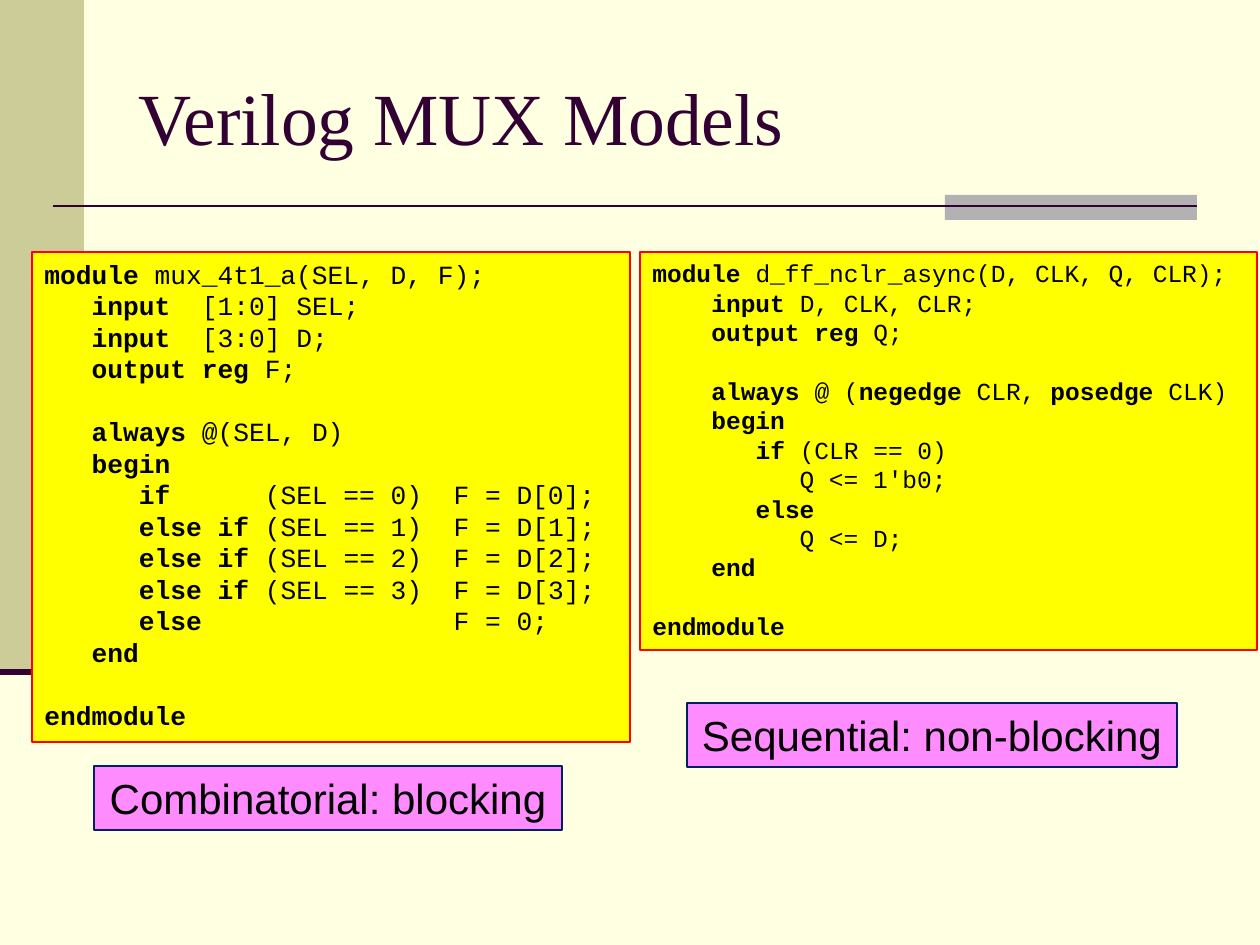
from lxml import etree
from pptx import Presentation
from pptx import util as u
from pptx.dml.color import RGBColor
from pptx.enum import shapes, text
from pptx.oxml.ns import qn

PX = 914400 / 126

# Keywords between asterisks are bold.
MUX = """\
*module* mux_4t1_a(SEL, D, F);
   *input*  [1:0] SEL;
   *input*  [3:0] D;
   *output reg* F;

   *always* @(SEL, D)
   *begin*
      *if*      (SEL == 0)  F = D[0];
      *else if* (SEL == 1)  F = D[1];
      *else if* (SEL == 2)  F = D[2];
      *else if* (SEL == 3)  F = D[3];
      *else*                F = 0;
   *end*

*endmodule*"""

FLOP = """\
*module* d_ff_nclr_async(D, CLK, Q, CLR);
    *input* D, CLK, CLR;
    *output reg* Q;

    *always* @ (*negedge* CLR, *posedge* CLK)
    *begin*
       *if* (CLR == 0)
          Q <= 1'b0;
       *else*
          Q <= D;
    *end*

*endmodule*"""


def px(*nums):
    return [u.Emu(round(n * PX)) for n in nums]


def color(code):
    return RGBColor.from_string(code)


def style(par, face, size, ink="000000"):
    par.font.name = face
    par.font.size = u.Pt(size)
    par.font.color.rgb = color(ink)


def rect(slide, box, fill, edge=None):
    shape = slide.shapes.add_shape(shapes.MSO_SHAPE.RECTANGLE, *px(*box))
    shape.shadow.inherit = False
    shape.fill.solid()
    shape.fill.fore_color.rgb = color(fill)
    if edge:
        shape.line.color.rgb = color(edge)
        shape.line.width = u.Pt(0.75)
    else:
        shape.line.fill.background()
    return shape


def rule(slide, left, right, y, width):
    line = slide.shapes.add_connector(
        shapes.MSO_CONNECTOR.STRAIGHT, *px(left, y, right, y))
    line.line.color.rgb = color("330033")
    line.line.width = u.Pt(width)
    etree.SubElement(line._element.spPr, qn("a:effectLst"))


def frame(shape):
    body = shape.text_frame
    body.word_wrap = False
    body.auto_size = text.MSO_AUTO_SIZE.SHAPE_TO_FIT_TEXT
    body.vertical_anchor = text.MSO_ANCHOR.TOP
    return body


def decor(slide, box):
    """Draw the side band, the title rule and its accent."""
    x, y, wide, _ = box
    rect(slide, (x, y, 84, 672), "CCCC99")
    rect(slide, (x + wide - 315, y + 195, 252, 25), "B2B2B2")
    rule(slide, x + 53, x + wide - 63, y + 206, 1.5)
    rule(slide, x, x + 84, y + 672, 3.5)


def head(slide, box, words):
    title = slide.shapes.title
    title.left, title.top, title.width, title.height = px(*box)
    body = title.text_frame
    body.text = words
    body.vertical_anchor = text.MSO_ANCHOR.MIDDLE
    par = body.paragraphs[0]
    par.alignment = text.PP_ALIGN.LEFT
    style(par, "Times New Roman", 42, "330033")


def code(slide, box, source, size):
    body = frame(rect(slide, box, "FFFF00", "FF0000"))
    for num, line in enumerate(source.split("\n")):
        par = body.add_paragraph() if num else body.paragraphs[0]
        par.alignment = text.PP_ALIGN.LEFT
        style(par, "Courier New", size)
        for part, words in enumerate((line or " ").split("*")):
            if words:
                run = par.add_run()
                run.text = words
                run.font.bold = part % 2 == 1


def label(slide, box, words):
    body = frame(rect(slide, box, "FF8CFF", "002060"))
    body.text = words
    par = body.paragraphs[0]
    par.alignment = text.PP_ALIGN.CENTER
    style(par, "Arial", 24)


def main():
    deck = Presentation()
    deck.slide_width, deck.slide_height = px(1260, 945)
    slide = deck.slides.add_slide(deck.slide_layouts[5])
    slide.background.fill.solid()
    slide.background.fill.fore_color.rgb = color("FFFFE1")

    decor(slide, (0, 0, 1260, 945))
    head(slide, (126, 38, 1071, 157), "Verilog MUX Models")
    code(slide, (32, 252, 598, 490), MUX, 15)
    code(slide, (640, 252, 617, 398), FLOP, 14)
    label(slide, (94, 766, 468, 64), "Combinatorial: blocking")
    label(slide, (687, 703, 490, 64), "Sequential: non-blocking")
    deck.save("out.pptx")


if __name__ == "__main__":
    main()
